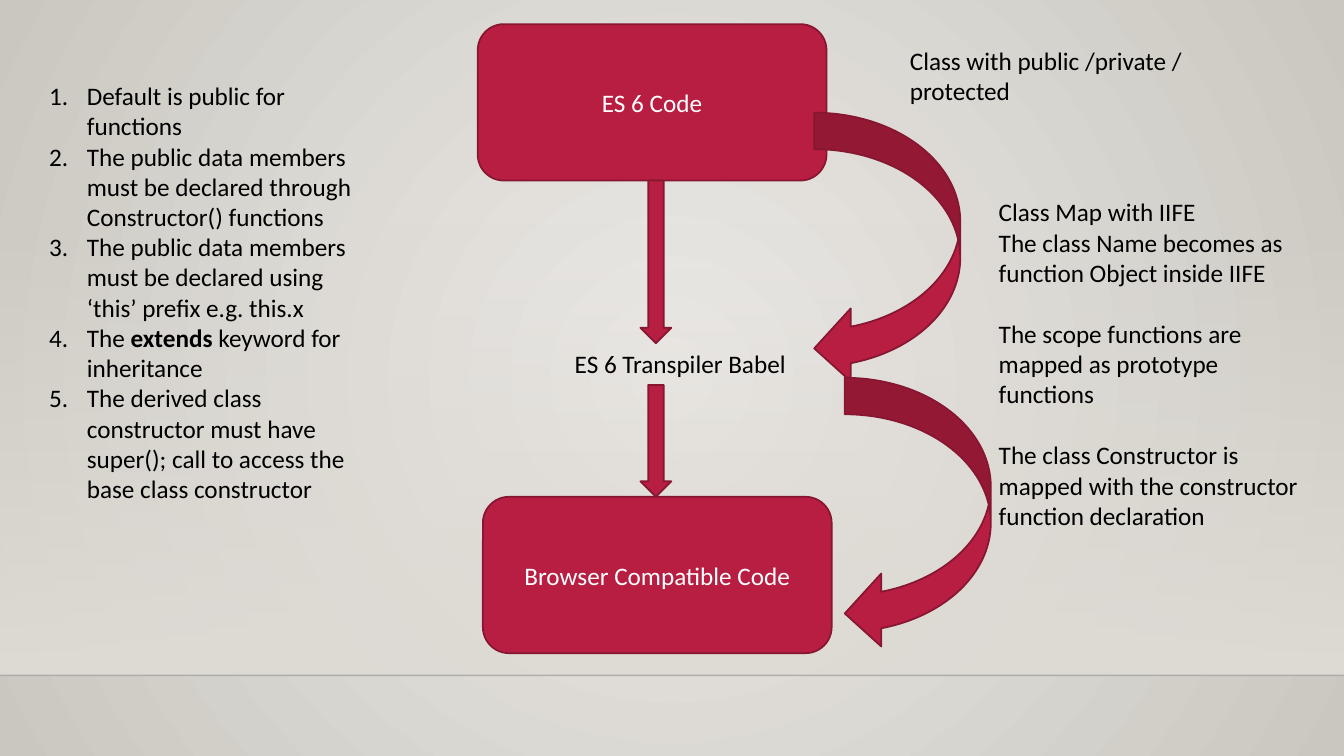
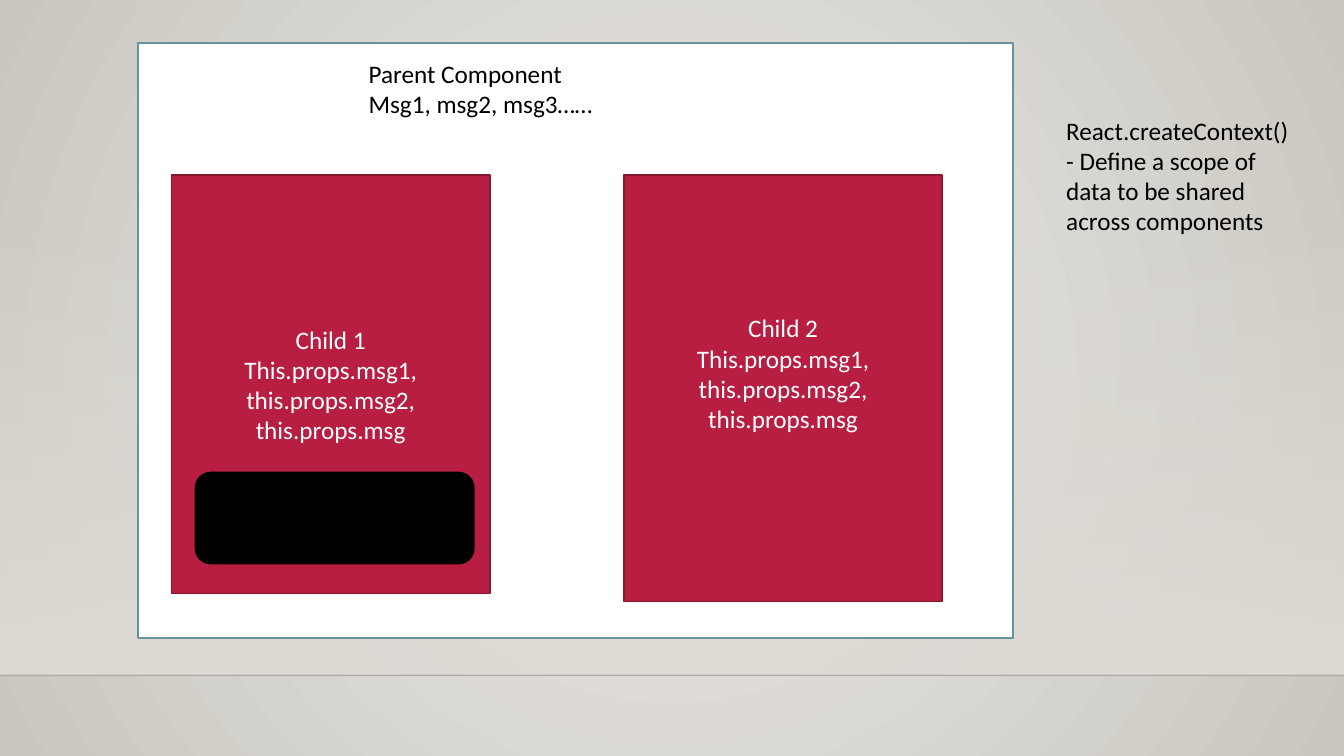
import collections

import lxml.etree
import pptx
import pptx.dml.color
import pptx.enum.shapes
import pptx.enum.text
import pptx.oxml.ns
import pptx.util

Cm = pptx.util.Cm
Pt = pptx.util.Pt
RGBColor = pptx.dml.color.RGBColor
SHAPE = pptx.enum.shapes.MSO_SHAPE
ALIGN = pptx.enum.text.PP_ALIGN
ANCHOR = pptx.enum.text.MSO_ANCHOR
qn = pptx.oxml.ns.qn

CRIMSON = RGBColor(0xB7, 0x1E, 0x42)
CRIMSON_EDGE = RGBColor(0x87, 0x16, 0x31)
PANEL_EDGE = RGBColor(0x68, 0x92, 0xA0)
WHITE = RGBColor(0xFF, 0xFF, 0xFF)
BLACK = RGBColor(0, 0, 0)
GLOW_CENTRE = RGBColor(0xEC, 0xEA, 0xE7)
GLOW_EDGE = RGBColor(0xCA, 0xC7, 0xC1)
WALL = RGBColor(0xDF, 0xDB, 0xD5)

SLIDE_WIDTH, SLIDE_HEIGHT = 33.87, 19.05
WALL_TOP, FLOOR_TOP = 5.61, 17.02
LINE_HEIGHT = Pt(22)
NUMBER_INDENT = Cm(0.95)

FONT = {"name": "Calibri", "size": Pt(18)}
LABEL_FRAME = {"word_wrap": True, "vertical_anchor": ANCHOR.MIDDLE}
NOTE_FRAME = {
    "word_wrap": True,
    "auto_size": pptx.enum.text.MSO_AUTO_SIZE.SHAPE_TO_FIT_TEXT,
}

Box = collections.namedtuple("Box", "left top width height")


def inside(box, left, top, width, height):
    """Return a rectangle in centimetres placed relative to a box."""
    return Box(box.left + left, box.top + top, width, height)


def lengths(box):
    """Return the four measures of a box as lengths."""
    return [Cm(measure) for measure in box]


def apply(target, values):
    """Set every attribute named in a dict of format values."""
    for name, value in values.items():
        setattr(target, name, value)


def set_alpha(parent, percent):
    """Give the first plain colour below an element its opacity."""
    colour = parent.find(".//" + qn("a:srgbClr"))
    lxml.etree.SubElement(colour, qn("a:alpha"), val=str(percent * 1000))


def set_stops(fill, colours):
    """Turn a fill into a gradient between two colours."""
    fill.gradient()
    for stop, colour in zip(fill.gradient_stops, colours):
        stop.color.rgb = colour


def paint_background(master):
    """Paint the radial glow behind every slide."""
    set_stops(master.background.fill, (GLOW_CENTRE, GLOW_EDGE))
    gradient = master.element.find(".//" + qn("a:gradFill"))
    gradient.remove(gradient.find(qn("a:lin")))
    glow = lxml.etree.SubElement(gradient, qn("a:path"), {"path": "circle"})
    centre = dict.fromkeys("ltrb", "50000")
    lxml.etree.SubElement(glow, qn("a:fillToRect"), centre)


def add_backdrop(slide):
    """Add the fading wall and the floor line."""
    wall_box = Box(0, WALL_TOP, SLIDE_WIDTH, FLOOR_TOP - WALL_TOP)
    wall = add_block(slide, SHAPE.RECTANGLE, wall_box)
    set_stops(wall.fill, (WALL, WALL))
    wall.fill.gradient_angle = 270
    set_alpha(wall.element, 0)
    wall.line.fill.background()

    floor = slide.shapes.add_connector(
        pptx.enum.shapes.MSO_CONNECTOR.STRAIGHT,
        Cm(0), Cm(FLOOR_TOP), Cm(SLIDE_WIDTH), Cm(FLOOR_TOP))
    floor.line.color.rgb = BLACK
    floor.line.width = Pt(1)
    set_alpha(floor.element, 20)
    lxml.etree.SubElement(floor.element.spPr, qn("a:effectLst"))


def add_block(slide, kind, box, fill=CRIMSON, edge=CRIMSON_EDGE):
    """Add a flat preset shape with an outline."""
    block = slide.shapes.add_shape(kind, *lengths(box))
    block.shadow.inherit = False
    block.fill.solid()
    block.fill.fore_color.rgb = fill
    block.line.color.rgb = edge
    block.line.width = Pt(1.25)
    return block


def number_paragraph(paragraph):
    """Give a paragraph an automatic number and a hanging indent."""
    properties = paragraph._p.get_or_add_pPr()
    properties.set("marL", str(int(NUMBER_INDENT)))
    properties.set("indent", str(-int(NUMBER_INDENT)))
    lxml.etree.SubElement(properties, qn("a:buFont"), typeface="+mj-lt")
    lxml.etree.SubElement(properties, qn("a:buAutoNum"), type="arabicPeriod")


def write(frame, paragraphs, colour, align=ALIGN.LEFT, numbered=False, gaps=()):
    """Write paragraphs, in which a tuple alternates regular and bold runs."""
    for index, content in enumerate(paragraphs):
        paragraph = frame.paragraphs[0] if index == 0 else frame.add_paragraph()
        paragraph.alignment = align
        if index in gaps:
            paragraph.space_before = LINE_HEIGHT
        if numbered:
            number_paragraph(paragraph)
        pieces = (content,) if isinstance(content, str) else content
        for position, piece in enumerate(pieces):
            run = paragraph.add_run()
            run.text = piece
            apply(run.font, FONT)
            run.font.bold = position % 2 == 1
            run.font.color.rgb = colour


def add_labelled(slide, kind, box, paragraphs):
    """Add a crimson shape with centred white text."""
    block = add_block(slide, kind, box)
    apply(block.text_frame, LABEL_FRAME)
    write(block.text_frame, paragraphs, WHITE, ALIGN.CENTER)
    return block


def add_note(slide, box, paragraphs, **options):
    """Add black text straight on the background."""
    note = slide.shapes.add_textbox(*lengths(box))
    apply(note.text_frame, NOTE_FRAME)
    write(note.text_frame, paragraphs, BLACK, **options)


def add_transpile_flow(slide, box):
    """Draw the way from ES 6 code through the transpiler to the browser."""
    stages = (((0, 0), "ES 6 Code"), ((0.13, 11.91), "Browser Compatible Code"))
    for corner, label in stages:
        add_labelled(slide, SHAPE.ROUNDED_RECTANGLE,
                     inside(box, *corner, 8.79, 3.94), [label])
    for top, height in ((3.94, 4.1), (9.09, 2.82)):
        add_block(slide, SHAPE.DOWN_ARROW, inside(box, 4.1, top, 0.78, height))
    add_note(slide, inside(box, 0, 8.05, 10.21, 1.02),
             ["ES 6 Transpiler Babel"], align=ALIGN.CENTER)
    for corner in ((8.48, 2.23), (9.25, 8.91)):
        add_block(slide, SHAPE.CURVED_LEFT_ARROW,
                  inside(box, *corner, 3.68, 6.86))


def add_mapping_notes(slide, box):
    """Explain beside the flow what each step does to a class."""
    add_note(slide, inside(box, 0, 0, 8.38, 1.8),
             ["Class with public /private / protected"])
    add_note(slide, inside(box, 2.24, 3.81, 8.33, 8.71), [
        "Class Map with IIFE",
        "The class Name becomes as function Object inside IIFE",
        "The scope functions are mapped as prototype functions",
        "The class Constructor is mapped with the constructor function declaration",
    ], gaps=(2, 3))


def add_class_rules(slide, box):
    """List the numbered rules for ES 6 classes."""
    add_note(slide, box, [
        "Default is public for functions",
        "The public data members must be declared through Constructor() functions",
        "The public data members must be declared using ‘this’ prefix e.g. this.x",
        ("The ", "extends ", "keyword for inheritance"),
        "The derived class constructor must have super(); call to access the "
        "base class constructor",
    ], numbered=True)


def add_parent_component(slide, box):
    """Draw the parent panel with its two child components."""
    add_block(slide, SHAPE.RECTANGLE, box, WHITE, PANEL_EDGE)
    add_note(slide, inside(box, 5.56, 0.26, 11.81, 1.8),
             ["Parent Component", "Msg1, msg2, msg3……"])
    props = "This.props.msg1, this.props.msg2, this.props.msg"
    children = (("Child 1", 0.84, 10.54, 0.13), ("Child 2", 12.24, 10.74, 0.9))
    for name, left, height, bottom_inset in children:
        child = add_labelled(slide, SHAPE.RECTANGLE,
                             inside(box, left, 3.33, 8.03, height),
                             [name, props])
        child.text_frame.margin_bottom = Cm(bottom_inset)
    add_block(slide, SHAPE.ROUNDED_RECTANGLE,
              inside(box, 1.45, 10.82, 7.01, 2.29), BLACK, BLACK)


def add_context_note(slide, box):
    """Explain the shared context beside the parent."""
    add_note(slide, box, [
        "React.createContext()",
        "- Define a scope of data to be shared across components",
    ])


def build_transpiler_slide(slide):
    """Build the slide on transpiling ES 6 classes."""
    add_transpile_flow(slide, Box(12.04, 0.61, 12.93, 15.85))
    add_mapping_notes(slide, Box(22.68, 1.02, 10.57, 12.52))
    add_class_rules(slide, Box(0.99, 1.9, 8.59, 11.02))


def build_context_slide(slide):
    """Build the slide on sharing data between components."""
    add_parent_component(slide, Box(3.48, 1.09, 22.05, 14.99))
    add_context_note(slide, Box(26.62, 2.77, 6.45, 3.33))


def main():
    """Build and save the presentation."""
    deck = pptx.Presentation()
    deck.slide_width, deck.slide_height = Cm(SLIDE_WIDTH), Cm(SLIDE_HEIGHT)
    paint_background(deck.slide_master)
    for build in (build_transpiler_slide, build_context_slide):
        slide = deck.slides.add_slide(deck.slide_layouts[6])
        add_backdrop(slide)
        build(slide)
    deck.save("out.pptx")


if __name__ == "__main__":
    main()
